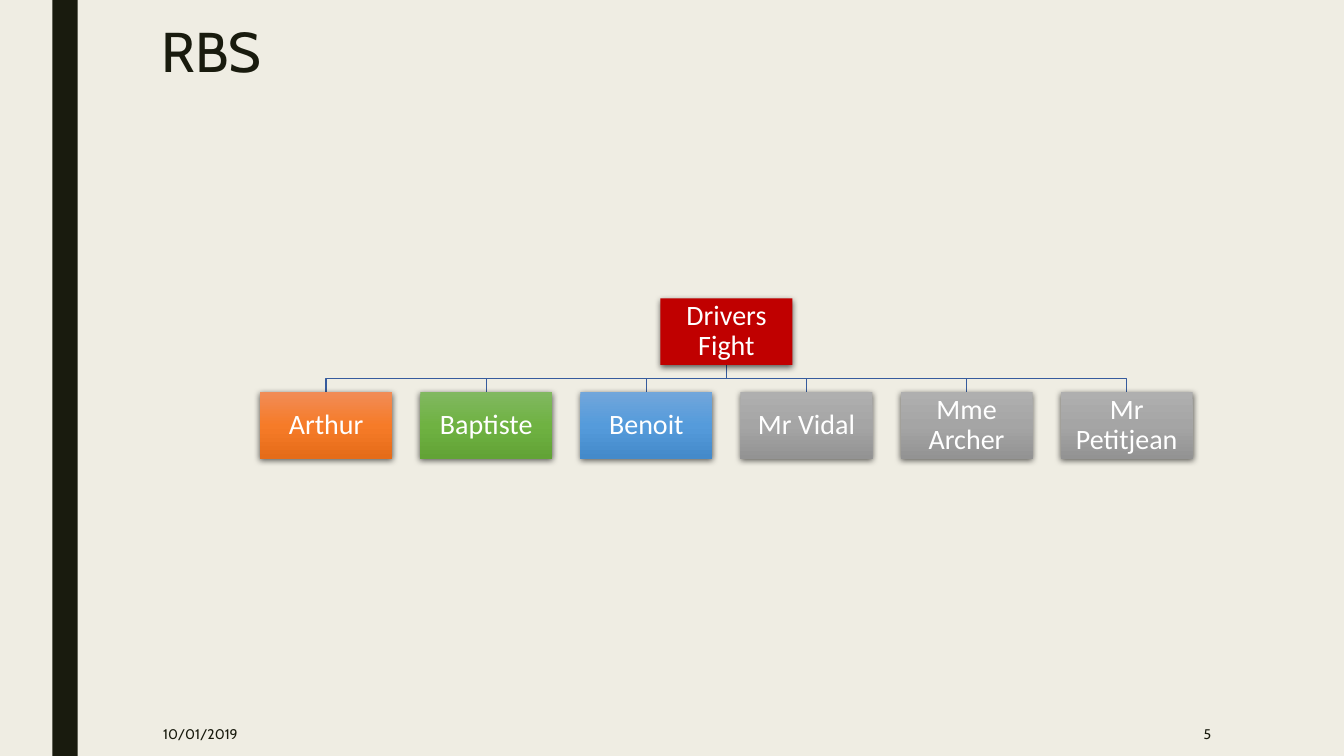
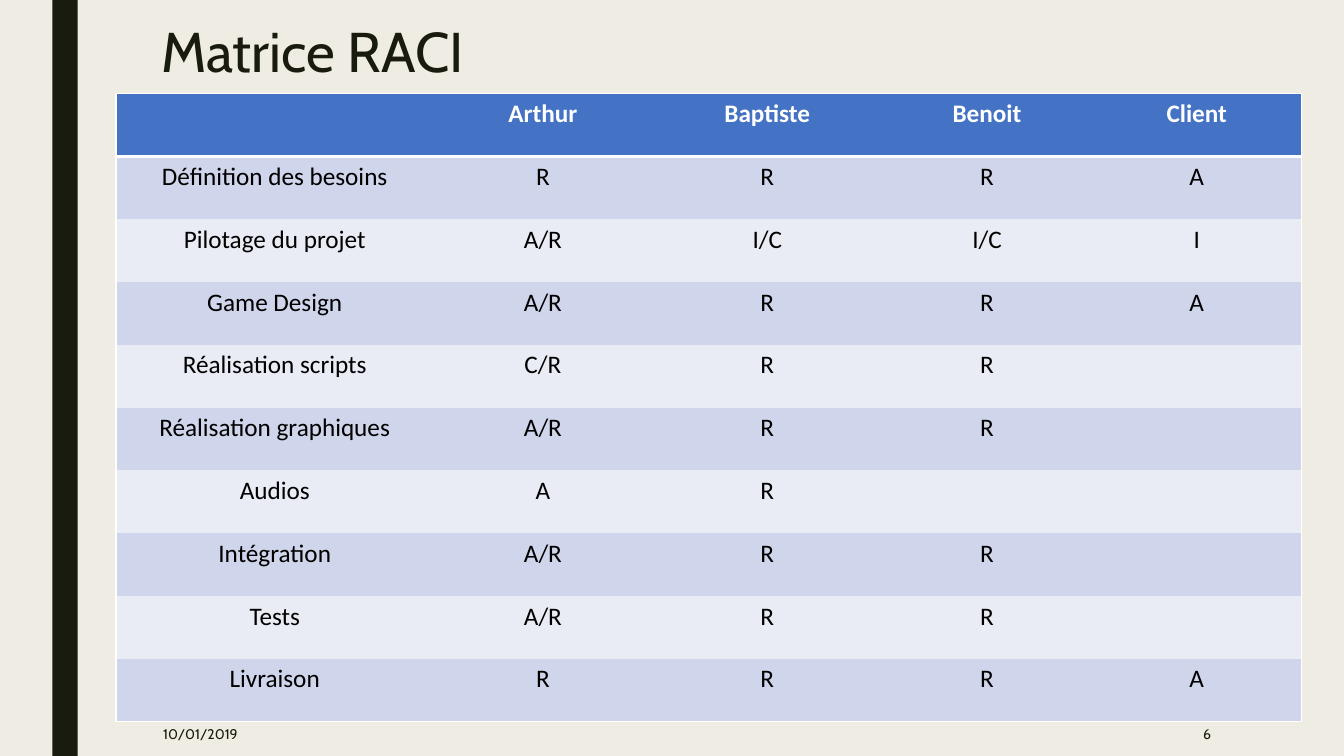
from pptx import Presentation
from pptx.dml.color import RGBColor
from pptx.enum.shapes import MSO_SHAPE
from pptx.enum.text import MSO_ANCHOR, MSO_AUTO_SIZE, PP_ALIGN
from pptx.oxml import parse_xml
from pptx.oxml.ns import nsdecls, qn
from pptx.util import Inches, Pt

# Content
DATE = "10/01/2019"
ROOT = "Drivers Fight"
MEMBERS = [
    ("Arthur", "orange"), ("Baptiste", "green"), ("Benoit", "blue"),
    ("Mr Vidal", "grey"), ("Mme Archer", "grey"), ("Mr Petitjean", "grey"),
]
RACI = [
    ("", "Arthur", "Baptiste", "Benoit", "Client"),
    ("Définition des besoins", "R", "R", "R", "A"),
    ("Pilotage du projet", "A/R", "I/C", "I/C", "I"),
    ("Game Design", "A/R", "R", "R", "A"),
    ("Réalisation scripts", "C/R", "R", "R", ""),
    ("Réalisation graphiques", "A/R", "R", "R", ""),
    ("Audios", "A", "R", "", ""),
    ("Intégration", "A/R", "R", "R", ""),
    ("Tests", "A/R", "R", "R", ""),
    ("Livraison", "R", "R", "R", "A"),
]

# Look
COLORS = {
    "paper": "EFEDE3", "ink": "191B0E", "white": "FFFFFF", "black": "000000",
    "link": "365B9D", "root": "C00000",
    "header": "4472C4", "odd": "CFD5EA", "even": "E9EBF5",
}
GRADIENTS = {
    "orange": ("F18C57", "F67B28", "E56C19"),
    "green": ("81B861", "6FB242", "62A336"),
    "blue": ("71A6DB", "559BDB", "448ACA"),
    "grey": ("AFAFAF", "A5A5A5", "939393"),
}
TITLE_FONT = {"name": "Cabin", "size": Pt(40), "color": "ink"}
FOOTER_FONT = {"name": "Cabin", "size": Pt(10), "color": "ink"}
BOX_FONT = {"name": "Calibri", "size": Pt(20), "color": "white"}
HEADER_FONT = {"name": "Calibri", "size": Pt(18), "color": "white", "bold": True}
CELL_FONT = {"name": "Calibri", "size": Pt(18), "color": "black", "bold": False}

# Geometry in inches
BOX_WIDTH, BOX_HEIGHT, BOX_PITCH = 1.31, 0.66, 1.588
ROOT_TOP, MEMBER_TOP, MEMBER_LEFT = 2.96, 3.89, 2.58
TABLE_LEFT, TABLE_TOP, TABLE_HEIGHT = 1.15, 0.93, 6.23
COLUMN_WIDTHS = [3.15, 2.17, 2.28, 2.08, 2.08]


def rgb(name):
    return RGBColor.from_string(COLORS[name])


def write(frame, text, font, align=PP_ALIGN.LEFT, spacing=None):
    paragraph = frame.paragraphs[0]
    paragraph.alignment = align
    paragraph.line_spacing = spacing
    run = paragraph.add_run()
    run.text = text
    for key, value in font.items():
        if key == "color":
            run.font.color.rgb = rgb(value)
        else:
            setattr(run.font, key, value)


def add_rectangle(slide, left, top, width, height, fill):
    shape = slide.shapes.add_shape(
        MSO_SHAPE.RECTANGLE, *map(Inches, (left, top, width, height)))
    shape.shadow.inherit = False
    shape.line.fill.background()
    if fill in GRADIENTS:
        stops = "".join(
            f'<a:gs pos="{position}"><a:srgbClr val="{color}"/></a:gs>'
            for position, color in zip((0, 50000, 100000), GRADIENTS[fill]))
        properties = shape._element.spPr
        properties.find(qn("a:prstGeom")).addnext(parse_xml(
            f'<a:gradFill {nsdecls("a")} rotWithShape="1"><a:gsLst>{stops}</a:gsLst>'
            '<a:lin ang="5400000" scaled="0"/></a:gradFill>'))
    else:
        shape.fill.solid()
        shape.fill.fore_color.rgb = rgb(fill)
    return shape


def add_footer(slide, left, width, text, align):
    box = slide.shapes.add_textbox(*map(Inches, (left, 7.06, width, 0.44)))
    box.text_frame.word_wrap = True
    box.text_frame.vertical_anchor = MSO_ANCHOR.MIDDLE
    write(box.text_frame, text, FOOTER_FONT, align)


def add_slide(title, number):
    slide = presentation.slides.add_slide(presentation.slide_layouts[5])
    add_rectangle(slide, 0.52, 0, 0.25, 7.5, "ink")
    holder = slide.shapes.title
    holder.left, holder.top, holder.width, holder.height = map(
        Inches, (1.5, 0.19, 10.61, 0.74))
    holder.text_frame.auto_size = MSO_AUTO_SIZE.NONE
    holder.text_frame.vertical_anchor = MSO_ANCHOR.TOP
    write(holder.text_frame, title, TITLE_FONT, spacing=0.89)
    add_footer(slide, 1.52, 1.32, DATE, PP_ALIGN.LEFT)
    add_footer(slide, 10.36, 1.75, str(number), PP_ALIGN.RIGHT)
    return slide


def add_box(slide, left, top, text, fill):
    shape = add_rectangle(slide, left, top, BOX_WIDTH, BOX_HEIGHT, fill)
    shape._element.spPr.find(qn("a:effectLst")).append(parse_xml(
        f'<a:outerShdw {nsdecls("a")} blurRad="57150" dist="19050" dir="5400000" '
        'algn="ctr" rotWithShape="0"><a:srgbClr val="000000">'
        '<a:alpha val="63000"/></a:srgbClr></a:outerShdw>'))
    frame = shape.text_frame
    frame.word_wrap = True
    frame.vertical_anchor = MSO_ANCHOR.MIDDLE
    for side in ("left", "top", "right", "bottom"):
        setattr(frame, f"margin_{side}", Inches(0.01))
    write(frame, text, BOX_FONT, PP_ALIGN.CENTER, 0.9)


def add_branch(slide, start_x, end_x):
    start_y, end_y = ROOT_TOP + BOX_HEIGHT, MEMBER_TOP
    middle_y = (start_y + end_y) / 2
    points = [(Inches(x), Inches(y)) for x, y in (
        (start_x, start_y), (start_x, middle_y), (end_x, middle_y), (end_x, end_y))]
    builder = slide.shapes.build_freeform(*points[0])
    builder.add_line_segments(points[1:], close=False)
    branch = builder.convert_to_shape()
    branch.shadow.inherit = False
    branch.fill.background()
    branch.line.color.rgb = rgb("link")
    branch.line.width = Pt(1)


def add_border(cell, side, points):
    cell._tc.get_or_add_tcPr().append(parse_xml(
        f'<a:ln{side} {nsdecls("a")} w="{Pt(points)}"><a:solidFill>'
        f'<a:srgbClr val="{COLORS["white"]}"/></a:solidFill></a:ln{side}>'))


presentation = Presentation()
presentation.slide_width, presentation.slide_height = Inches(13.33), Inches(7.5)
background = presentation.slide_master.background.fill
background.solid()
background.fore_color.rgb = rgb("paper")

# Resource breakdown: branches behind, boxes in front
slide = add_slide("RBS", 5)
lefts = [MEMBER_LEFT + BOX_PITCH * index for index in range(len(MEMBERS))]
root_left = (lefts[0] + lefts[-1]) / 2
for left in lefts:
    add_branch(slide, root_left + BOX_WIDTH / 2, left + BOX_WIDTH / 2)
add_box(slide, root_left, ROOT_TOP, ROOT, "root")
for left, (name, fill) in zip(lefts, MEMBERS):
    add_box(slide, left, MEMBER_TOP, name, fill)

# RACI matrix
slide = add_slide("Matrice RACI", 6)
last_row, last_column = len(RACI) - 1, len(COLUMN_WIDTHS) - 1
table_frame = slide.shapes.add_table(
    len(RACI), len(COLUMN_WIDTHS),
    *map(Inches, (TABLE_LEFT, TABLE_TOP, sum(COLUMN_WIDTHS), TABLE_HEIGHT)))
table = table_frame.table
NO_GRID_STYLE = "{2D5ABB26-0587-4C30-8999-92F81FD0307C}"
table._tbl.tblPr.find(qn("a:tableStyleId")).text = NO_GRID_STYLE
for column, width in zip(table.columns, COLUMN_WIDTHS):
    column.width = Inches(width)
for row_index, texts in enumerate(RACI):
    table.rows[row_index].height = Inches(TABLE_HEIGHT / len(RACI))
    is_header = row_index == 0
    fill = "header" if is_header else "odd" if row_index % 2 else "even"
    for column_index, text in enumerate(texts):
        cell = table.cell(row_index, column_index)
        borders = {
            "L": column_index == 0, "R": column_index == last_column,
            "T": is_header, "B": 3 if is_header else row_index == last_row,
        }
        for side, points in borders.items():
            if points:
                add_border(cell, side, int(points))
        cell.fill.solid()
        cell.fill.fore_color.rgb = rgb(fill)
        if text:
            write(cell.text_frame, text, HEADER_FONT if is_header else CELL_FONT,
                  PP_ALIGN.CENTER)

presentation.save("out.pptx")
